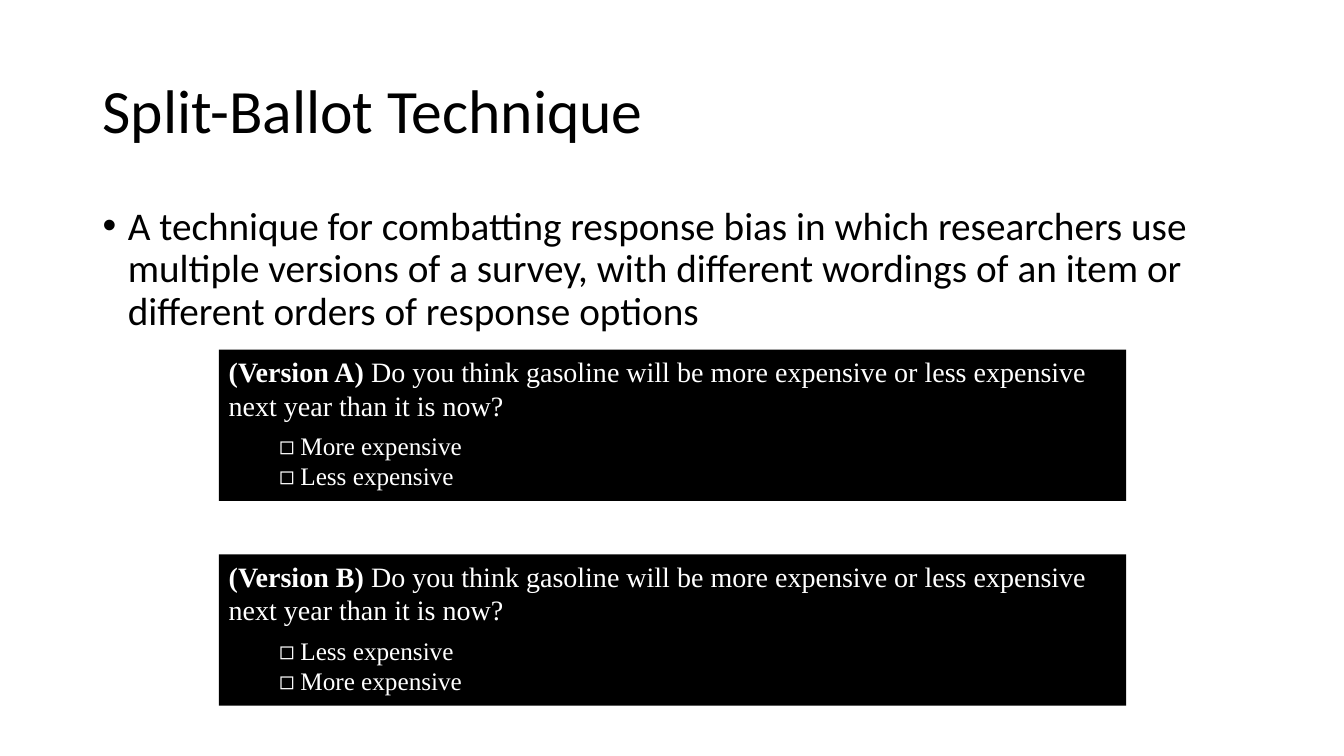
"""Build the Split-Ballot Technique slide."""
from dataclasses import dataclass

from lxml.etree import SubElement
from pptx import Presentation
from pptx.dml.color import RGBColor
from pptx.enum.shapes import MSO_SHAPE
from pptx.enum.text import MSO_ANCHOR, PP_ALIGN
from pptx.oxml.ns import qn
from pptx.slide import Slide
from pptx.text.text import TextFrame, _Paragraph
from pptx.util import Inches, Pt

BLACK = RGBColor(0x00, 0x00, 0x00)
WHITE = RGBColor(0xFF, 0xFF, 0xFF)
SANS = "Calibri"
SERIF = "Times New Roman"
QUESTION = " Do you think gasoline will be more expensive or less expensive next year than it is now?"
DEFINITION = (
    "A technique for combatting response bias in which researchers use multiple versions "
    "of a survey, with different wordings of an item or different orders of response options"
)


@dataclass
class Version:
    name: str
    top: float
    options: tuple[str, str]


VERSIONS = [
    Version("(Version A)", 3.47, ("More expensive", "Less expensive")),
    Version("(Version B)", 5.5, ("Less expensive", "More expensive")),
]


def add_run(p: _Paragraph, text: str, *, size: float, font: str = SANS,
            color: RGBColor = BLACK, bold: bool = False) -> None:
    r = p.add_run()
    r.text = text
    r.font.size = Pt(size)
    r.font.name = font
    r.font.color.rgb = color
    r.font.bold = bold


def set_indent(p: _Paragraph, left: float, first: float = 0, bullet: str = "") -> None:
    pPr = p._p.get_or_add_pPr()
    pPr.set("marL", str(Inches(left)))
    pPr.set("indent", str(Inches(first)))
    if bullet:
        SubElement(pPr, qn("a:buFont")).set("typeface", "Arial")
        SubElement(pPr, qn("a:buChar")).set("char", bullet)


def add_text_box(s: Slide, top: float, height: float, anchor: MSO_ANCHOR) -> TextFrame:
    sp = s.shapes.add_textbox(Inches(0.92), Inches(top), Inches(11.5), Inches(height))
    tf = sp.text_frame
    tf.word_wrap = True
    tf.vertical_anchor = anchor
    tf.paragraphs[0].line_spacing = 0.9
    return tf


def add_version(s: Slide, version: Version) -> None:
    sp = s.shapes.add_shape(MSO_SHAPE.RECTANGLE, Inches(2.17), Inches(version.top),
                            Inches(9), Inches(1.5))
    sp.shadow.inherit = False
    sp.fill.solid()
    sp.fill.fore_color.rgb = BLACK
    sp.line.fill.background()
    tf = sp.text_frame
    tf.word_wrap = True
    tf.vertical_anchor = MSO_ANCHOR.TOP
    p = tf.paragraphs[0]
    p.alignment = PP_ALIGN.LEFT
    p.space_before = p.space_after = Pt(6)
    add_run(p, version.name, size=20, font=SERIF, color=WHITE, bold=True)
    add_run(p, QUESTION, size=20, font=SERIF, color=WHITE)
    for option in version.options:
        p = tf.add_paragraph()
        p.alignment = PP_ALIGN.LEFT
        set_indent(p, 0.5)
        add_run(p, "◻ ", size=18, color=WHITE)
        add_run(p, option, size=18, font=SERIF, color=WHITE)


def main() -> None:
    prs = Presentation()
    prs.slide_width = Inches(13.33)
    prs.slide_height = Inches(7.5)
    s = prs.slides.add_slide(prs.slide_layouts[6])

    title = add_text_box(s, 0.4, 1.45, MSO_ANCHOR.MIDDLE)
    add_run(title.paragraphs[0], "Split-Ballot Technique", size=44)

    body = add_text_box(s, 2, 4.76, MSO_ANCHOR.TOP)
    p = body.paragraphs[0]
    p.space_before = Pt(10)
    set_indent(p, 0.25, -0.25, "•")
    add_run(p, DEFINITION, size=28)

    for version in VERSIONS:
        add_version(s, version)
    prs.save("out.pptx")


if __name__ == "__main__":
    main()
